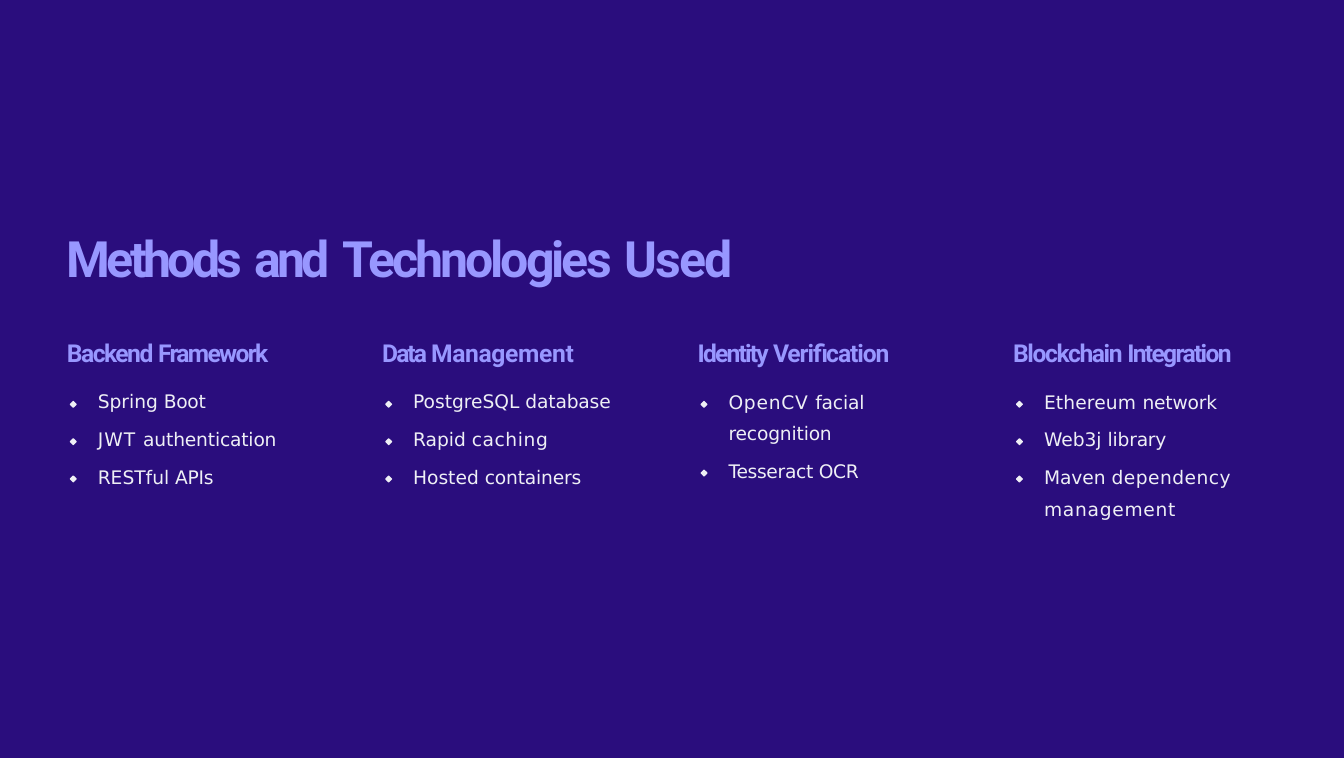
import pptx
import pptx.dml.color
import pptx.enum.text
import pptx.util
from dataclasses import dataclass

Pt = pptx.util.Pt

# Every run is (text, letter spacing in points).
TITLE = [("Methods", -2.5), (" ", 0), ("and", -2.6), (" ", 0),
         ("Technologies", -2), (" ", 0), ("Used", -1.1)]

# Items are (runs, number of lines the item takes).
COLUMNS = [
    {"heading": [("Backend ", -1), ("Framework", -1.1)],
     "size": (155, 103),
     "items": [([("Spring ", 0), ("Boot", -0.2)], 1),
               ([("JWT ", 0.7), ("authentication", -0.1)], 1),
               ([("RESTful ", 0), ("APIs", -0.2)], 1)]},
    {"heading": [("Data ", -1.3), ("Management", -0.2)],
     "size": (161, 103),
     "items": [([("PostgreSQL ", 0), ("database", -0.1)], 1),
               ([("Rapid ", 0), ("caching", 0.4)], 1),
               ([("Hosted ", 0), ("containers", -0.1)], 1)]},
    {"heading": [("Identity ", -1.2), ("Verification", -0.7)],
     "size": (151, 99),
     "items": [([("OpenCV ", 0.5), ("facial recognition", -0.1)], 2),
               ([("Tesseract OCR", -0.2)], 1)]},
    {"heading": [("Blockchain ", -0.9), ("Integration", -1.1)],
     "size": (171, 123),
     "items": [([("Ethereum ", 0.1), ("network", -0.1)], 1),
               ([("Web3j ", 0), ("library", -0.1)], 1),
               ([("Maven ", 0), ("dependency ", 0.3), ("management", 0.5)], 2)]},
]


@dataclass(frozen=True)
class TextStyle:
    font: str
    size: float
    color: str
    bold: bool


class Theme:
    background = "2A0D7D"
    dot = "EEEFF5"
    title = TextStyle("Roboto", 33.5, "9897FF", True)
    heading = TextStyle("Roboto", 16.5, "9897FF", True)
    item = TextStyle("DejaVu Sans", 12.5, "EEEFF5", False)


SLIDE_WIDTH, SLIDE_HEIGHT = 900, 507.6
LEFT, TITLE_TOP, COLUMN_TOP = 43.9, 151.2, 225
TITLE_SIZE = (480, 42.5)
COLUMN_PITCH = 211.2
HEADING_INDENT, ITEM_INDENT = 0.9, 21.6
LINE_SPACING, LINE_PITCH = 1.42, 21
FIRST_ITEM_GAP, ITEM_GAP = 9, 4
DOT_OFFSET, DOT_TOP = 2.9, 268.5
DOT_OUTLINE = [(2, 0), (0, 2), (0, 2.5), (2, 4.5),
               (2.5, 4.5), (4.5, 2.5), (4.5, 2), (2.5, 0)]


def rgb(color):
    return pptx.dml.color.RGBColor.from_string(color)


def add_text_frame(slide, left, top, size):
    frame = slide.shapes.add_textbox(Pt(left), Pt(top), Pt(size[0]), Pt(size[1])).text_frame
    frame.word_wrap = True
    frame.auto_size = pptx.enum.text.MSO_AUTO_SIZE.NONE
    frame.margin_left = frame.margin_right = frame.margin_bottom = 0
    frame.margin_top = Pt(1.3)
    return frame


def fill_paragraph(paragraph, runs, style, indent, space_before, line_spacing=1.0):
    paragraph.space_before = Pt(space_before)
    paragraph.line_spacing = line_spacing
    paragraph._p.get_or_add_pPr().set("marL", str(Pt(indent)))
    for text, letter_spacing in runs:
        run = paragraph.add_run()
        run.text = text
        run.font.name = style.font
        run.font.size = Pt(style.size)
        run.font.bold = style.bold
        run.font.color.rgb = rgb(style.color)
        run._r.get_or_add_rPr().set("spc", str(round(letter_spacing * 100)))


def add_dot(slide, left, top):
    outline = [(Pt(left + x), Pt(top + y)) for x, y in DOT_OUTLINE]
    builder = slide.shapes.build_freeform(*outline[0])
    builder.add_line_segments(outline[1:], close=True)
    dot = builder.convert_to_shape()
    dot.shadow.inherit = False
    dot.fill.solid()
    dot.fill.fore_color.rgb = rgb(Theme.dot)
    dot.line.fill.background()


def add_column(slide, left, column):
    dot_top = DOT_TOP
    for _, lines in column["items"]:
        add_dot(slide, left + DOT_OFFSET, dot_top)
        dot_top += lines * LINE_PITCH + ITEM_GAP

    frame = add_text_frame(slide, left, COLUMN_TOP, column["size"])
    fill_paragraph(frame.paragraphs[0], column["heading"], Theme.heading,
                   HEADING_INDENT, 1.4)
    for index, (runs, _) in enumerate(column["items"]):
        gap = ITEM_GAP if index else FIRST_ITEM_GAP
        fill_paragraph(frame.add_paragraph(), runs, Theme.item,
                       ITEM_INDENT, gap, LINE_SPACING)


def main():
    deck = pptx.Presentation()
    deck.slide_width, deck.slide_height = Pt(SLIDE_WIDTH), Pt(SLIDE_HEIGHT)
    slide = deck.slides.add_slide(deck.slide_layouts[6])
    slide.background.fill.solid()
    slide.background.fill.fore_color.rgb = rgb(Theme.background)

    title = add_text_frame(slide, LEFT, TITLE_TOP, TITLE_SIZE)
    fill_paragraph(title.paragraphs[0], TITLE, Theme.title, HEADING_INDENT, 1.2)
    for index, column in enumerate(COLUMNS):
        add_column(slide, LEFT + index * COLUMN_PITCH, column)

    deck.save("out.pptx")


if __name__ == "__main__":
    main()
